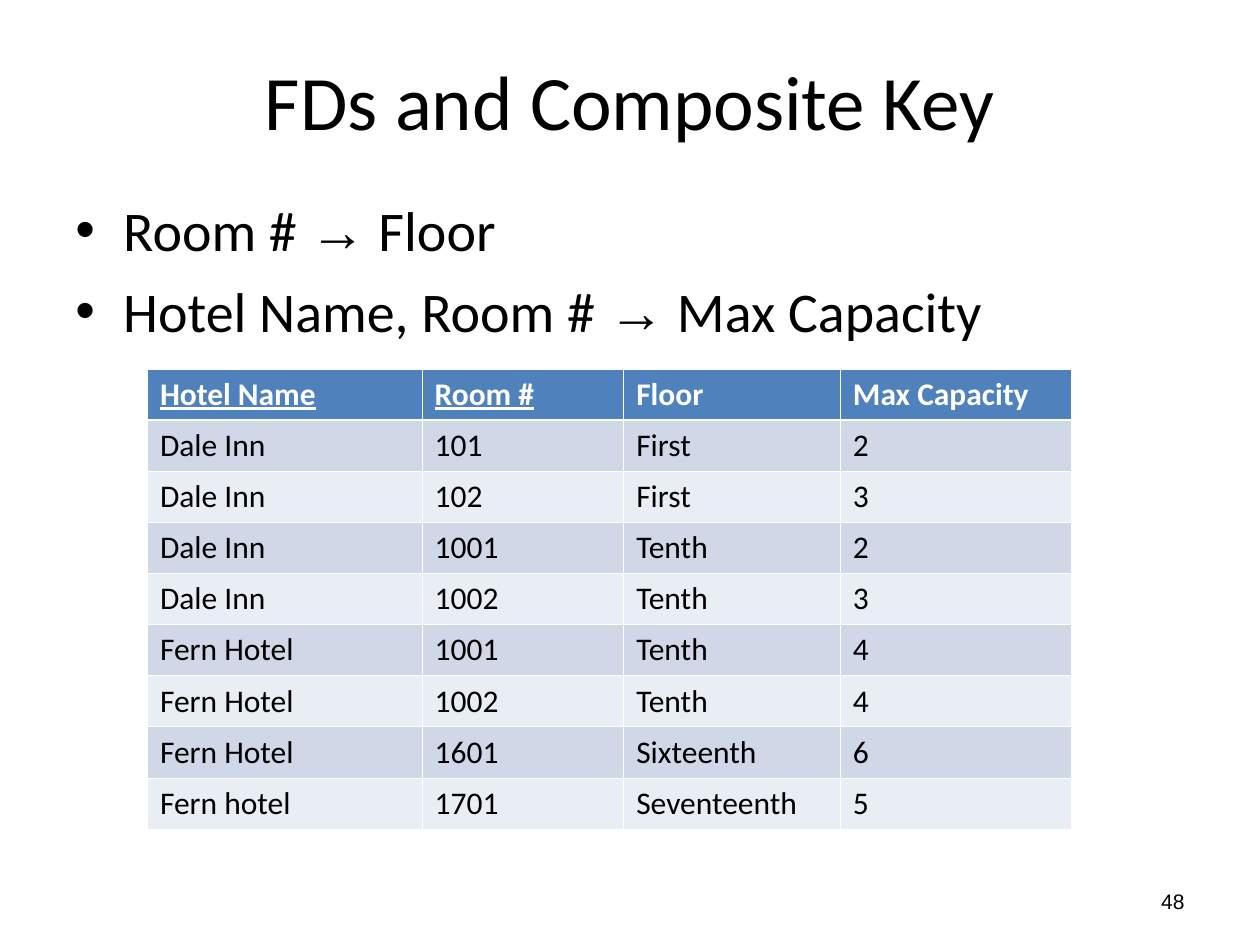
from lxml.etree import SubElement
from pptx import Presentation
from pptx.dml.color import RGBColor
from pptx.enum.text import MSO_ANCHOR, PP_ALIGN
from pptx.oxml.ns import qn
from pptx.util import Inches, Pt

COLORS = {
    "text": "000000",
    "header_text": "FFFFFF",
    "border": "FFFFFF",
    "header": "4F81BD",
    "odd_row": "D0D8E8",
    "even_row": "E9EDF4",
}
MARGIN = 0.5
CONTENT_WIDTH = 9
THIN, THICK = 0.45, 1.47

DEPENDENCIES = [("Room #", "Floor"), ("Hotel Name, Room #", "Max Capacity")]
COLUMN_WIDTHS = [2.18, 1.6, 1.72, 1.83]
KEY_COLUMNS = {"Hotel Name", "Room #"}
ROOMS = [
    ("Hotel Name", "Room #", "Floor", "Max Capacity"),
    ("Dale Inn", "101", "First", "2"),
    ("Dale Inn", "102", "First", "3"),
    ("Dale Inn", "1001", "Tenth", "2"),
    ("Dale Inn", "1002", "Tenth", "3"),
    ("Fern Hotel", "1001", "Tenth", "4"),
    ("Fern Hotel", "1002", "Tenth", "4"),
    ("Fern Hotel", "1601", "Sixteenth", "6"),
    ("Fern hotel", "1701", "Seventeenth", "5"),
]


def format_run(run, size, font="Calibri", color="text", bold=False, underline=False):
    run.font.size = Pt(size)
    run.font.name = font
    run.font.color.rgb = RGBColor.from_string(COLORS[color])
    run.font.bold = bold
    run.font.underline = underline


def set_title(slide, text):
    title = slide.shapes.title
    title.left, title.top = Inches(MARGIN), Inches(0.17)
    title.width, title.height = Inches(CONTENT_WIDTH), Inches(1.25)
    title.text_frame.text = text
    title.text_frame.vertical_anchor = MSO_ANCHOR.MIDDLE
    paragraph = title.text_frame.paragraphs[0]
    paragraph.alignment = PP_ALIGN.CENTER
    format_run(paragraph.runs[0], 44)


def add_text_box(slide, left, top, width, height):
    box = slide.shapes.add_textbox(Inches(left), Inches(top), Inches(width), Inches(height))
    box.text_frame.word_wrap = True
    return box.text_frame


def add_bullet(paragraph):
    properties = paragraph._p.get_or_add_pPr()
    properties.set("marL", str(Inches(0.38)))
    properties.set("indent", str(-Inches(0.38)))
    SubElement(properties, qn("a:buFont"), typeface="Arial")
    SubElement(properties, qn("a:buChar"), char="•")


def add_dependencies(slide):
    frame = add_text_box(slide, MARGIN, 1.5, CONTENT_WIDTH, 4.95)
    for index, (determinant, dependent) in enumerate(DEPENDENCIES):
        paragraph = frame.add_paragraph() if index else frame.paragraphs[0]
        add_bullet(paragraph)
        if index:
            paragraph.space_before = Pt(8)
        parts = [(determinant + " ", "Calibri"), ("→", "Arial"), (" " + dependent, "Calibri")]
        for text, font in parts:
            run = paragraph.add_run()
            run.text = text
            format_run(run, 32, font)


def set_borders(cell, top, bottom):
    properties = cell._tc.get_or_add_tcPr()
    sides = [("a:lnL", THIN), ("a:lnR", THIN), ("a:lnT", top), ("a:lnB", bottom)]
    # Border lines must come before the fill in the cell properties
    for position, (tag, width) in enumerate(sides):
        line = SubElement(properties, qn(tag), w=str(Pt(width)))
        fill = SubElement(line, qn("a:solidFill"))
        SubElement(fill, qn("a:srgbClr"), val=COLORS["border"])
        properties.insert(position, line)


def add_room_table(slide):
    table = slide.shapes.add_table(
        len(ROOMS), len(COLUMN_WIDTHS), Inches(1.17), Inches(2.93),
        Inches(sum(COLUMN_WIDTHS)), Inches(3.65),
    ).table
    for column, width in zip(table.columns, COLUMN_WIDTHS):
        column.width = Inches(width)
    for row, values in enumerate(ROOMS):
        is_header = row == 0
        fill = "header" if is_header else ("even_row", "odd_row")[row % 2]
        for column, value in enumerate(values):
            cell = table.cell(row, column)
            cell.text_frame.text = value
            format_run(
                cell.text_frame.paragraphs[0].runs[0], 18,
                color="header_text" if is_header else "text",
                bold=is_header, underline=is_header and value in KEY_COLUMNS,
            )
            cell.fill.solid()
            cell.fill.fore_color.rgb = RGBColor.from_string(COLORS[fill])
            set_borders(cell, THICK if row == 1 else THIN, THICK if is_header else THIN)


def add_slide_number(slide, number):
    frame = add_text_box(slide, 7.17, 6.95, 2.33, 0.4)
    frame.text = number
    frame.vertical_anchor = MSO_ANCHOR.MIDDLE
    frame.paragraphs[0].alignment = PP_ALIGN.RIGHT
    format_run(frame.paragraphs[0].runs[0], 12, "Arial")


def main():
    presentation = Presentation()
    presentation.slide_width, presentation.slide_height = Inches(10), Inches(7.5)
    slide = presentation.slides.add_slide(presentation.slide_layouts[5])
    set_title(slide, "FDs and Composite Key")
    add_dependencies(slide)
    add_slide_number(slide, "48")
    add_room_table(slide)
    presentation.save("out.pptx")


if __name__ == "__main__":
    main()
